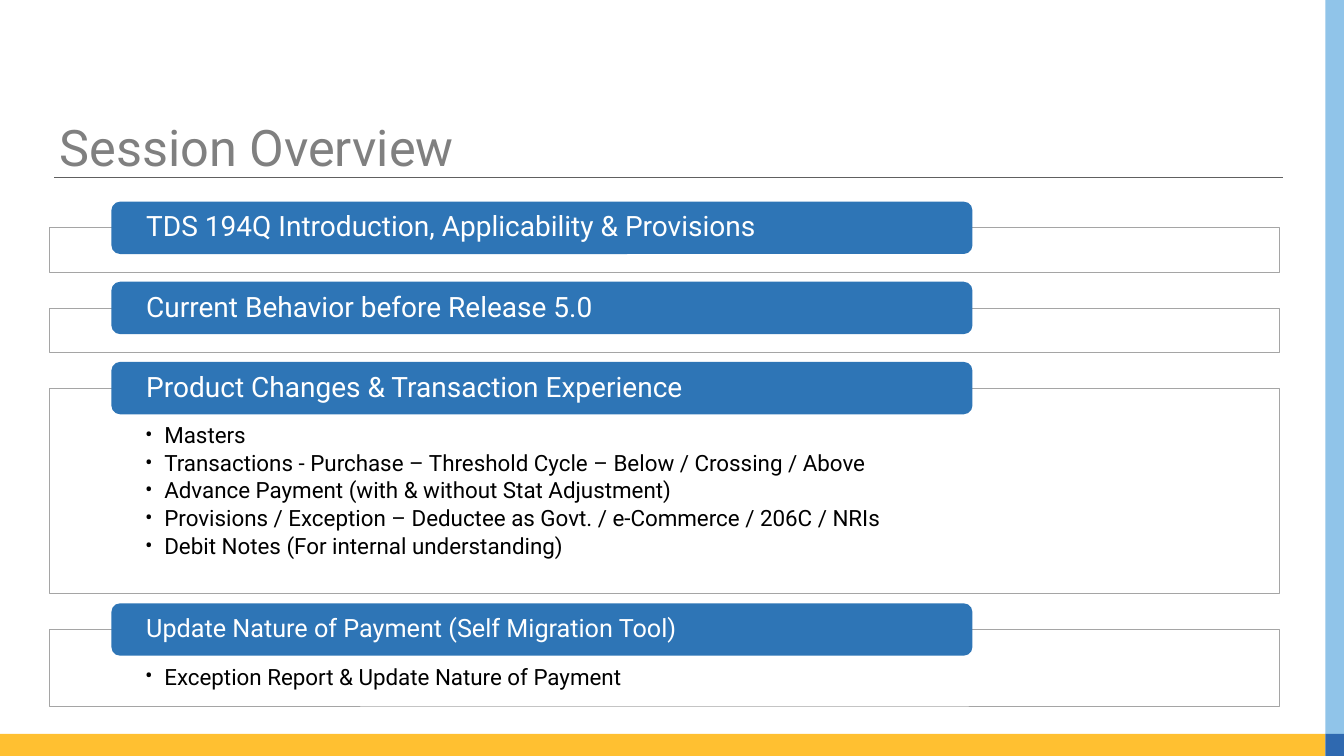
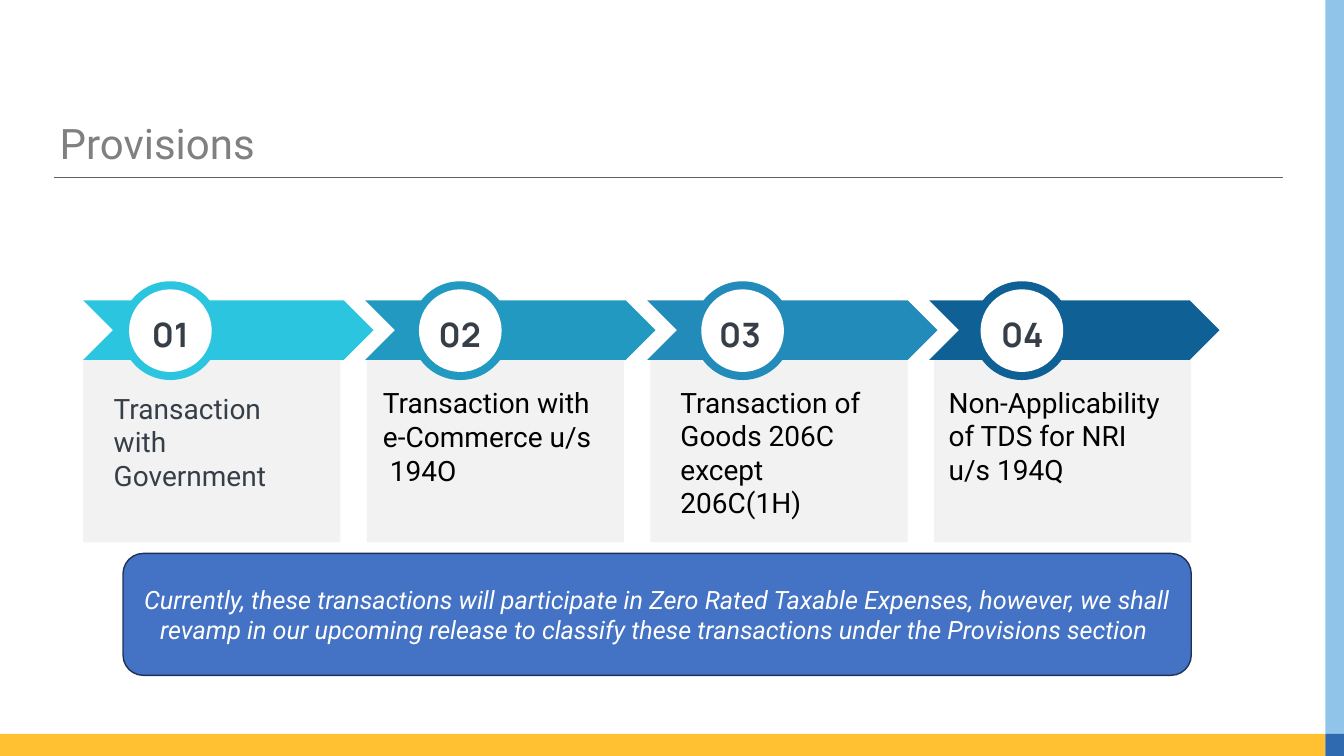
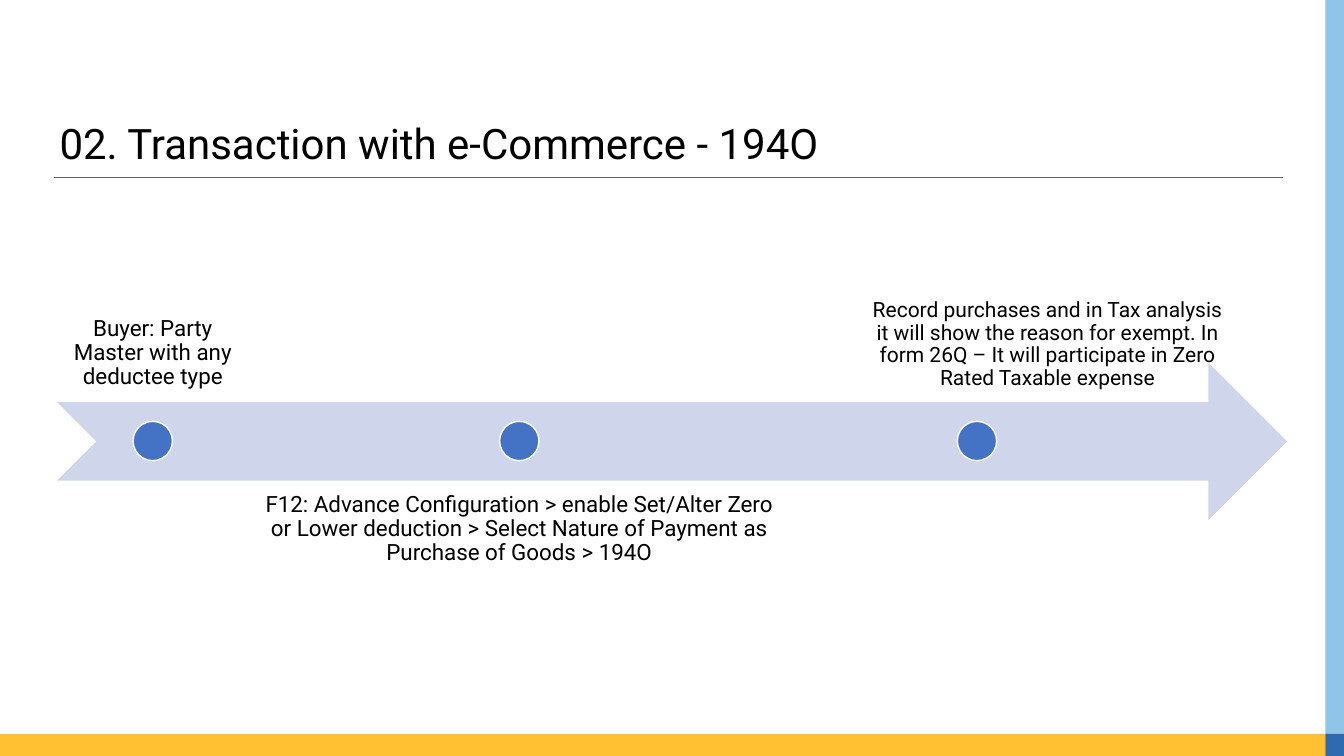
from lxml import etree
from pptx import Presentation
from pptx.dml.color import RGBColor
from pptx.enum.shapes import MSO_CONNECTOR, MSO_SHAPE
from pptx.enum.text import MSO_ANCHOR, PP_ALIGN
from pptx.oxml.ns import qn
from pptx.util import Inches, Pt

RECTANGLE, ROUNDED = MSO_SHAPE.RECTANGLE, MSO_SHAPE.ROUNDED_RECTANGLE
ELLIPSE, CHEVRON = MSO_SHAPE.OVAL, MSO_SHAPE.CHEVRON
NOTCHED_ARROW, STRAIGHT = MSO_SHAPE.NOTCHED_RIGHT_ARROW, MSO_CONNECTOR.STRAIGHT
TOP, MIDDLE, BOTTOM = MSO_ANCHOR.TOP, MSO_ANCHOR.MIDDLE, MSO_ANCHOR.BOTTOM
LEFT, CENTER = PP_ALIGN.LEFT, PP_ALIGN.CENTER

WHITE = RGBColor(0xFF, 0xFF, 0xFF)
BLACK = RGBColor(0x00, 0x00, 0x00)
TITLE_GREY = RGBColor(0x80, 0x80, 0x80)
RULE_GREY = RGBColor(0x60, 0x60, 0x60)
FRAME_GREY = RGBColor(0xA5, 0xA5, 0xA5)
CARD_GREY = RGBColor(0xF2, 0xF2, 0xF2)
SLATE = RGBColor(0x36, 0x3E, 0x48)
YELLOW = RGBColor(0xFF, 0xC0, 0x31)
SKY = RGBColor(0x90, 0xC4, 0xE9)
CORNER_BLUE = RGBColor(0x2F, 0x69, 0xB0)
BAND_BLUE = RGBColor(0x2E, 0x75, 0xB6)
ACCENT_BLUE = RGBColor(0x44, 0x72, 0xC4)
NAVY = RGBColor(0x1E, 0x32, 0x56)
PALE_BLUE = RGBColor(0xCF, 0xD5, 0xEA)
CYAN = RGBColor(0x2B, 0xC5, 0xE0)
TEAL = RGBColor(0x22, 0x99, 0xC0)
MID_BLUE = RGBColor(0x22, 0x8B, 0xB9)
DEEP_BLUE = RGBColor(0x0F, 0x61, 0x95)

# Square grid: every box is (left, top, width, height) in cells
CELL = Inches(0.1)
COLUMNS, ROWS = 133.3, 75


def add_block(slide, kind, box, fill=None, line=None, line_width=1):
    """Add a preset shape, or a text box when kind is None."""
    lengths = [round(CELL * cells) for cells in box]
    if kind is None:
        return slide.shapes.add_textbox(*lengths)
    shape = slide.shapes.add_shape(kind, *lengths)
    shape.shadow.inherit = False
    shape.fill.solid()
    shape.fill.fore_color.rgb = fill
    if line is None:
        shape.line.fill.background()
    else:
        shape.line.color.rgb = line
        shape.line.width = Pt(line_width)
    return shape


def write(shape, text, size=20, color=BLACK, font="Roboto", bold=False, italic=False,
          align=LEFT, anchor=TOP, insets=(1, 0.5, 1, 0.5), spacing=1, after=0,
          bullet=False):
    """Write text in a shape, one paragraph a line; insets are in cells."""
    frame = shape.text_frame
    frame.word_wrap = True
    frame.vertical_anchor = anchor
    (frame.margin_left, frame.margin_top,
     frame.margin_right, frame.margin_bottom) = [round(CELL * inset) for inset in insets]
    for index, words in enumerate(text.split("\n")):
        paragraph = frame.add_paragraph() if index else frame.paragraphs[0]
        paragraph.alignment = align
        paragraph.line_spacing = spacing
        paragraph.space_after = Pt(after)
        run = paragraph.add_run()
        run.text = words
        run.font.name = font
        run.font.size = Pt(size)
        run.font.bold = bold
        run.font.italic = italic
        run.font.color.rgb = color
        if bullet:
            properties = paragraph._p.get_or_add_pPr()
            properties.set("marL", str(Inches(0.19)))
            properties.set("indent", str(-Inches(0.19)))
            etree.SubElement(properties, qn("a:buFont")).set("typeface", font)
            etree.SubElement(properties, qn("a:buChar")).set("char", "•")


presentation = Presentation()
presentation.slide_width = round(CELL * COLUMNS)
presentation.slide_height = CELL * ROWS

# Shared parts: title, rule below it and edge bands
TITLES = [
    ("Session Overview", 36, TITLE_GREY),
    ("Provisions", 30, TITLE_GREY),
    ("02. Transaction with e-Commerce - 194O", 30, BLACK),
]
EDGE = 131.45
FOOT = 72.8
slides = []
for title, size, color in TITLES:
    slide = presentation.slides.add_slide(presentation.slide_layouts[6])
    slides.append(slide)
    rule = slide.shapes.add_connector(
        STRAIGHT, *[round(CELL * cells) for cells in (5.4, 17.6, 127.25, 17.6)])
    rule.line.color.rgb = RULE_GREY
    rule.line.width = Pt(0.82)
    etree.SubElement(rule._element.spPr, qn("a:effectLst"))
    add_block(slide, RECTANGLE, (0, FOOT, EDGE, ROWS - FOOT), YELLOW)
    add_block(slide, RECTANGLE, (EDGE, 0, COLUMNS - EDGE, FOOT), SKY)
    add_block(slide, RECTANGLE, (EDGE, FOOT, COLUMNS - EDGE, ROWS - FOOT), CORNER_BLUE)
    write(add_block(slide, None, (4.93, 11.75, 122, 5)), title,
          size=size, color=color, spacing=0.9)

overview, provisions, commerce = slides

# Session overview: headed frames stacked downwards
TOPICS = [
    ("TDS 194Q Introduction, Applicability & Provisions", 20, 4.4, ""),
    ("Current Behavior before Release 5.0", 20, 4.4, ""),
    ("Product Changes & Transaction Experience", 20, 20.4,
     "Masters\n"
     "Transactions - Purchase – Threshold Cycle – Below / Crossing / Above\n"
     "Advance Payment (with & without Stat Adjustment)\n"
     "Provisions / Exception – Deductee as Govt. / e-Commerce / 206C / NRIs\n"
     "Debit Notes (For internal understanding)"),
    ("Update Nature of Payment (Self Migration Tool)", 18, 7.6,
     "Exception Report & Update Nature of Payment"),
]
band_top = 20
for heading, size, frame_height, points in TOPICS:
    frame = add_block(overview, RECTANGLE, (4.9, band_top + 2.6, 122, frame_height),
                      WHITE, FRAME_GREY, 0.5)
    if points:
        write(frame, points, size=16, insets=(9.5, 3.6, 9.5, 1.2),
              spacing=0.9, after=2.5, bullet=True)
    band = add_block(overview, ROUNDED, (11.05, band_top, 85.4, 5.2), BAND_BLUE)
    write(band, heading, size=size, color=WHITE, anchor=MIDDLE,
          insets=(3.2, 0, 3.2, 0), spacing=0.9)
    band_top += frame_height + 3.55

# Provisions: card, chevron and numbered ring in each column
PROVISIONS = [
    ("Transaction with Government", SLATE, CYAN, 12, 12.2, (10.3, 38.3, 21.4, 14.5)),
    ("Transaction with e-Commerce u/s  194O", BLACK, TEAL, 40.75, 40.9,
     (37, 37.8, 23.2, 14.5)),
    ("Transaction of Goods 206C except 206C(1H)", BLACK, MID_BLUE, 68.75, 68.7,
     (66.5, 37.7, 22.1, 14.5)),
    ("Non-Applicability of TDS for NRI u/s 194Q", BLACK, DEEP_BLUE, 96.45, 96.7,
     (93.1, 37.7, 23.2, 11.1)),
]
for index, (text, text_color, color, ring_left, number_left, text_box) in enumerate(PROVISIONS):
    add_block(provisions, RECTANGLE, (8.25 + 28.13 * index, 35.7, 25.5, 18.1), CARD_GREY)
    add_block(provisions, CHEVRON, (8.25 + 27.97 * index, 29.8, 28.8, 5.9), color)
    add_block(provisions, ELLIPSE, (ring_left, 27.9, 9.8, 9.8), color)
    add_block(provisions, ELLIPSE, (ring_left + 0.8, 28.7, 8.2, 8.2), WHITE)
    write(add_block(provisions, None, (number_left, 30.7, 9.4, 5)), f"{index + 1:02d}",
          size=24, color=SLATE, font="Manrope", bold=True, align=CENTER)
    write(add_block(provisions, None, text_box), text, color=text_color)

callout = add_block(provisions, ROUNDED, (12.2, 54.9, 105.95, 12.1), ACCENT_BLUE, NAVY)
write(callout,
      "Currently, these transactions will participate in Zero Rated Taxable Expenses, "
      "however, we shall revamp in our upcoming release to classify these transactions "
      "under the Provisions section ",
      size=18, color=WHITE, italic=True, align=CENTER, anchor=MIDDLE)

# e-Commerce: steps along a timeline arrow
STEPS = [
    ("Buyer: Party Master with any deductee type", 16, BOTTOM, 5.7, 24.25, 18.9, 13.2),
    ("F12: Advance Configuration > enable Set/Alter Zero or Lower deduction > "
     "Select Nature of Payment as Purchase of Goods > 194O", 16, TOP, 24.8, 47.7, 53.4, 49.55),
    ("Record purchases and in Tax analysis it will show the reason for exempt. "
     "In form 26Q – It will participate in Zero Rated Taxable expense",
     15, BOTTOM, 85.2, 24.3, 37.4, 94.95),
]
add_block(commerce, NOTCHED_ARROW, (5.65, 36, 122, 15.6), PALE_BLUE)
for text, size, anchor, left, top, width, dot_left in STEPS:
    write(add_block(commerce, None, (left, top, width, 15.6)), text, size=size,
          align=CENTER, anchor=anchor, insets=(1.2, 1.2, 1.2, 1.2), spacing=0.9)
    add_block(commerce, ELLIPSE, (dot_left, 41.8, 3.9, 3.9), ACCENT_BLUE, WHITE)

presentation.save("out.pptx")
